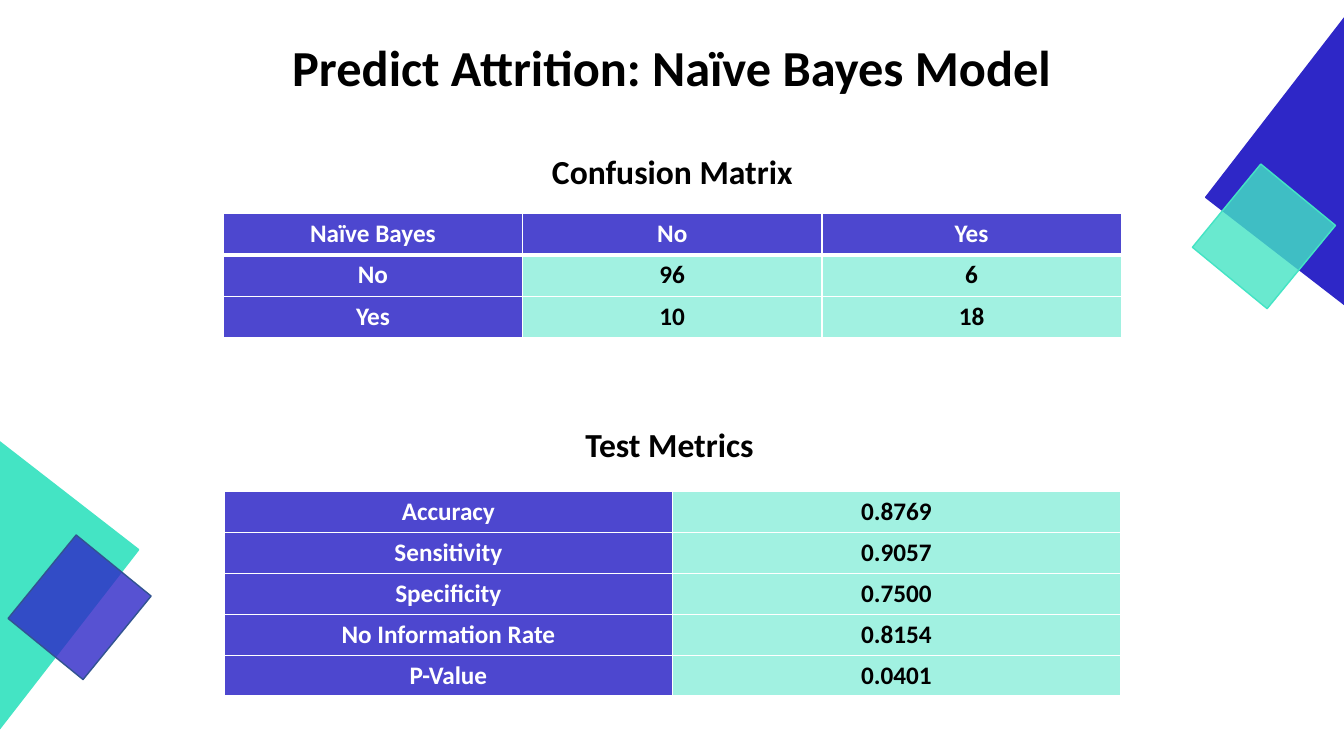
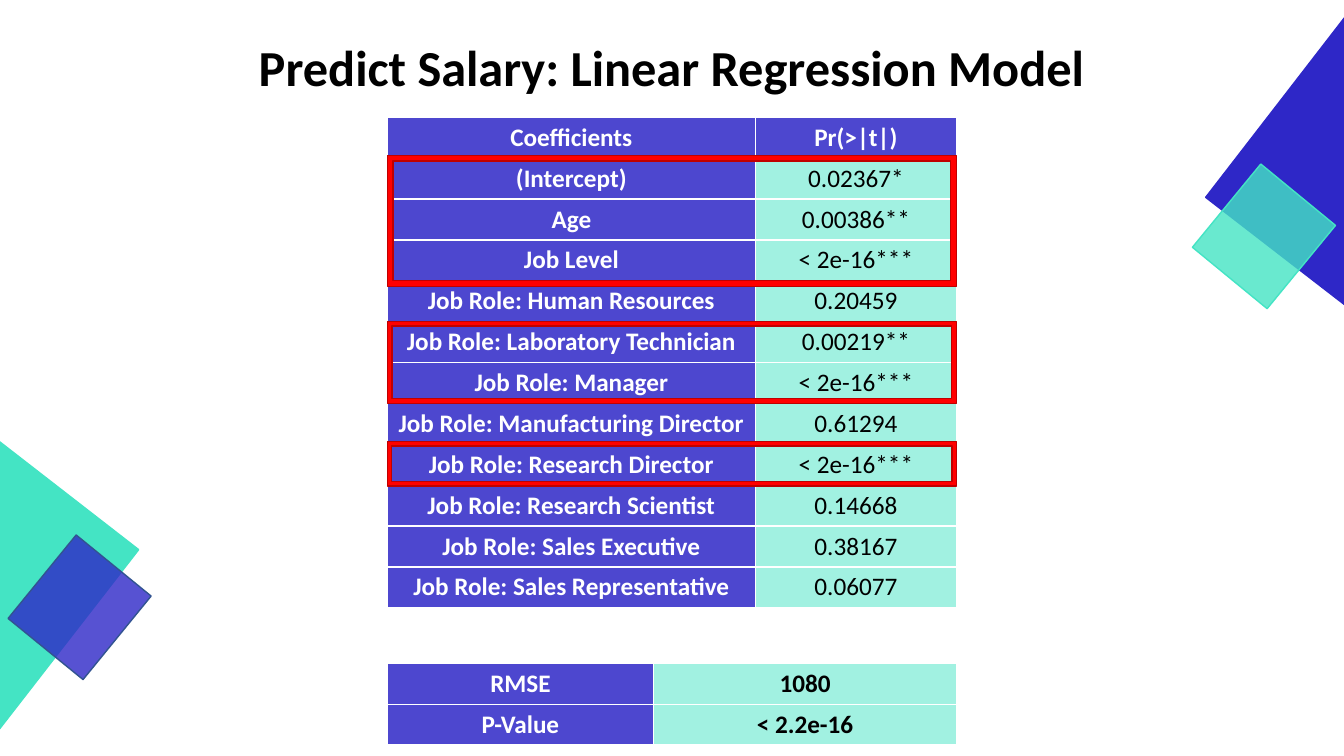
"""Build two slides that report the attrition and salary models."""
from dataclasses import dataclass

from lxml.etree import SubElement
from pptx import Presentation
from pptx.dml.color import RGBColor
from pptx.enum.shapes import MSO_SHAPE as Preset
from pptx.enum.text import MSO_ANCHOR as Anchor, PP_ALIGN as Align
from pptx.oxml.ns import qn
from pptx.presentation import Presentation as Deck
from pptx.shapes.autoshape import Shape
from pptx.slide import Slide
from pptx.table import _Cell as Cell
from pptx.text.text import TextFrame
from pptx.util import Pt

INDIGO = RGBColor(0x2E, 0x27, 0xC7)
MINT = RGBColor(0x44, 0xE4, 0xC4)
NAVY = RGBColor(0x32, 0x54, 0x91)
RED = RGBColor(0xFF, 0x00, 0x00)
DARK_RED = RGBColor(0xC0, 0x00, 0x00)
BLACK = RGBColor(0x00, 0x00, 0x00)
WHITE = RGBColor(0xFF, 0xFF, 0xFF)

FONT = "Calibri"
TITLE_SIZE, HEADING_SIZE, CELL_SIZE = 36, 24, 18
LABEL_OPACITY, VALUE_OPACITY = 85, 50
THIN, THICK = 1, 3


@dataclass(frozen=True)
class Box:
    left: float
    top: float
    width: float
    height: float

    def lengths(self) -> tuple[Pt, Pt, Pt, Pt]:
        return Pt(self.left), Pt(self.top), Pt(self.width), Pt(self.height)


@dataclass(frozen=True)
class Ornament:
    preset: Preset
    box: Box
    rotation: float
    fill: RGBColor
    line: RGBColor
    opacity: int = 100


@dataclass(frozen=True)
class Grid:
    left: float
    top: float
    column_widths: tuple[float, ...]
    rows: tuple[tuple[str, ...], ...]
    row_height: float = 29.2
    has_header: bool = False
    bold_values: bool = True


@dataclass(frozen=True)
class Heading:
    text: str
    box: Box
    alignment: Align


@dataclass(frozen=True)
class Highlight:
    top: float
    height: float
    thickness: float


TITLE_BOX = Box(50.4, 25.2, 859, 49.7)

ORNAMENTS = (
    Ornament(Preset.RIGHT_TRIANGLE, Box(-63.4, 337, 126, 162), 217.8, MINT, MINT),
    Ornament(Preset.RECTANGLE, Box(22.3, 395.3, 69.1, 77), 39.2, INDIGO, NAVY, 80),
    Ornament(Preset.RIGHT_TRIANGLE, Box(897.8, 33.8, 126, 162.7), 37.7, INDIGO, INDIGO),
    Ornament(Preset.RECTANGLE, Box(868.3, 130.3, 69.1, 77), 219.4, MINT, MINT, 80),
)

CONFUSION_MATRIX = Grid(
    159.5, 152.6, (213.8, 213.8, 213.8),
    (
        ("Naïve Bayes", "No", "Yes"),
        ("No", "96", "6"),
        ("Yes", "10", "18"),
    ),
    row_height=29.5, has_header=True,
)
TEST_METRICS = Grid(
    160.3, 351.2, (320, 320),
    (
        ("Accuracy", "0.8769"),
        ("Sensitivity", "0.9057"),
        ("Specificity", "0.7500"),
        ("No Information Rate", "0.8154"),
        ("P-Value", "0.0401"),
    ),
)
HEADINGS = (
    Heading("Confusion Matrix", Box(377.3, 104.4, 205.9, 36.4), Align.CENTER),
    Heading("Test Metrics", Box(411, 299.2, 139.7, 36.4), Align.LEFT),
)

SALARY_LEFT, SALARY_WIDTH = 276.6, 406.6
COEFFICIENTS = Grid(
    SALARY_LEFT, 83.8, (263, 143.6),
    (
        ("Coefficients", "Pr(>|t|)"),
        ("(Intercept)", "0.02367*"),
        ("Age", "0.00386**"),
        ("Job Level", "< 2e-16***"),
        ("Job Role: Human Resources", "0.20459"),
        ("Job Role: Laboratory Technician", "0.00219**"),
        ("Job Role: Manager", "< 2e-16***"),
        ("Job Role: Manufacturing Director", "0.61294"),
        ("Job Role: Research Director", "< 2e-16***"),
        ("Job Role: Research Scientist", "0.14668"),
        ("Job Role: Sales Executive", "0.38167"),
        ("Job Role: Sales Representative", "0.06077"),
    ),
    has_header=True, bold_values=False,
)
SALARY_METRICS = Grid(
    SALARY_LEFT, 473.8, (190.3, 216.3),
    (("RMSE", "1080"), ("P-Value", "< 2.2e-16")),
)
HIGHLIGHTS = (
    Highlight(110.9, 93.6, 4.1),
    Highlight(229.7, 58.3, 3.3),
    Highlight(315.4, 31.7, 3.2),
)


def set_opacity(properties, percent: int) -> None:
    color = properties.find(qn("a:solidFill")).find(qn("a:srgbClr"))
    SubElement(color, qn("a:alpha"), val=str(percent * 1000))


def write_text(frame: TextFrame, text: str, size: float, color: RGBColor,
               alignment: Align = Align.CENTER, bold: bool = True) -> None:
    frame.text = text
    paragraph = frame.paragraphs[0]
    paragraph.alignment = alignment
    for run in paragraph.runs:
        run.font.name = FONT
        run.font.size = Pt(size)
        run.font.bold = bold
        run.font.color.rgb = color


def add_text(slide: Slide, heading: Heading, size: float) -> TextFrame:
    frame = slide.shapes.add_textbox(*heading.box.lengths()).text_frame
    frame.word_wrap = True
    write_text(frame, heading.text, size, BLACK, heading.alignment)
    return frame


def add_filled_shape(slide: Slide, preset: Preset, box: Box,
                     fill: RGBColor, line: RGBColor) -> Shape:
    shape = slide.shapes.add_shape(preset, *box.lengths())
    shape.shadow.inherit = False
    shape.fill.solid()
    shape.fill.fore_color.rgb = fill
    shape.line.color.rgb = line
    shape.line.width = Pt(1)
    return shape


def add_ornament(slide: Slide, ornament: Ornament) -> None:
    shape = add_filled_shape(slide, ornament.preset, ornament.box, ornament.fill, ornament.line)
    shape.rotation = ornament.rotation
    if ornament.opacity < 100:
        set_opacity(shape.element.spPr, ornament.opacity)


def add_highlight(slide: Slide, highlight: Highlight) -> None:
    box = Box(SALARY_LEFT, highlight.top, SALARY_WIDTH, highlight.height)
    shape = add_filled_shape(slide, Preset.FRAME, box, RED, DARK_RED)
    shape.adjustments[0] = highlight.thickness / highlight.height


def style_cell(cell: Cell, fill: RGBColor, opacity: int, top: int, bottom: int) -> None:
    properties = cell._tc.get_or_add_tcPr()
    for side, width in (("L", THIN), ("R", THIN), ("T", top), ("B", bottom)):
        border = SubElement(properties, qn(f"a:ln{side}"), w=str(Pt(width)))
        SubElement(SubElement(border, qn("a:solidFill")), qn("a:srgbClr"), val=str(WHITE))
    cell.fill.solid()
    cell.fill.fore_color.rgb = fill
    set_opacity(properties, opacity)


def add_grid(slide: Slide, grid: Grid) -> None:
    box = Box(grid.left, grid.top, sum(grid.column_widths), grid.row_height * len(grid.rows))
    table = slide.shapes.add_table(
        len(grid.rows), len(grid.column_widths), *box.lengths()).table
    table.first_row = grid.has_header
    table.horz_banding = False
    for column, width in zip(table.columns, grid.column_widths):
        column.width = Pt(width)
    for row_index, texts in enumerate(grid.rows):
        table.rows[row_index].height = Pt(grid.row_height)
        is_header = grid.has_header and row_index == 0
        top = THICK if grid.has_header and row_index == 1 else THIN
        bottom = THICK if is_header else THIN
        for column_index, text in enumerate(texts):
            cell = table.cell(row_index, column_index)
            if is_header or column_index == 0:
                style_cell(cell, INDIGO, LABEL_OPACITY, top, bottom)
                write_text(cell.text_frame, text, CELL_SIZE, WHITE)
            else:
                style_cell(cell, MINT, VALUE_OPACITY, top, bottom)
                write_text(cell.text_frame, text, CELL_SIZE, BLACK, bold=grid.bold_values)


def add_model_slide(presentation: Deck, title: str, grids: tuple[Grid, ...]) -> Slide:
    slide = presentation.slides.add_slide(presentation.slide_layouts[6])
    for ornament in ORNAMENTS:
        add_ornament(slide, ornament)
    frame = add_text(slide, Heading(title, TITLE_BOX, Align.CENTER), TITLE_SIZE)
    frame.vertical_anchor = Anchor.MIDDLE
    frame.paragraphs[0].line_spacing = 0.9
    for grid in grids:
        add_grid(slide, grid)
    return slide


def main() -> None:
    presentation = Presentation()
    presentation.slide_width, presentation.slide_height = Pt(960), Pt(540)

    attrition = add_model_slide(
        presentation, "Predict Attrition: Naïve Bayes Model", (CONFUSION_MATRIX, TEST_METRICS))
    for heading in HEADINGS:
        add_text(attrition, heading, HEADING_SIZE)

    salary = add_model_slide(
        presentation, "Predict Salary: Linear Regression Model", (COEFFICIENTS, SALARY_METRICS))
    for highlight in HIGHLIGHTS:
        add_highlight(salary, highlight)

    presentation.save("out.pptx")


if __name__ == "__main__":
    main()
